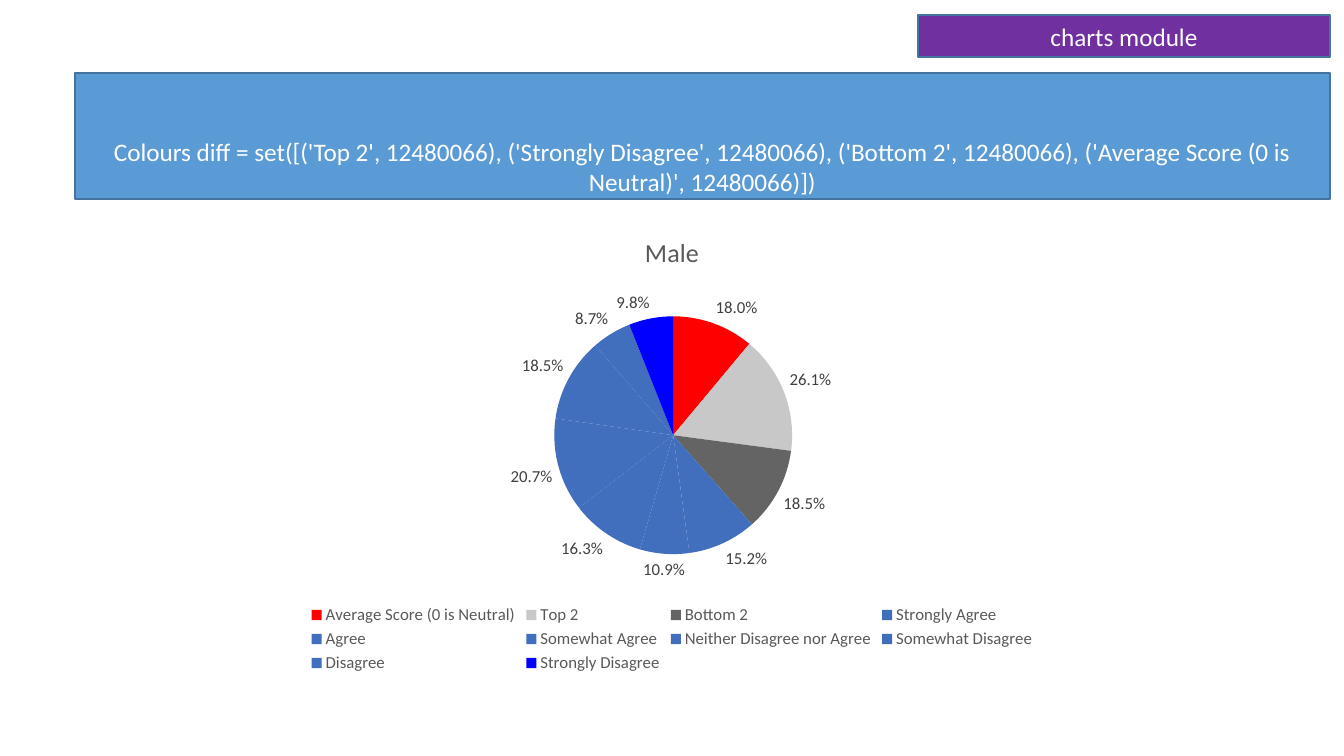
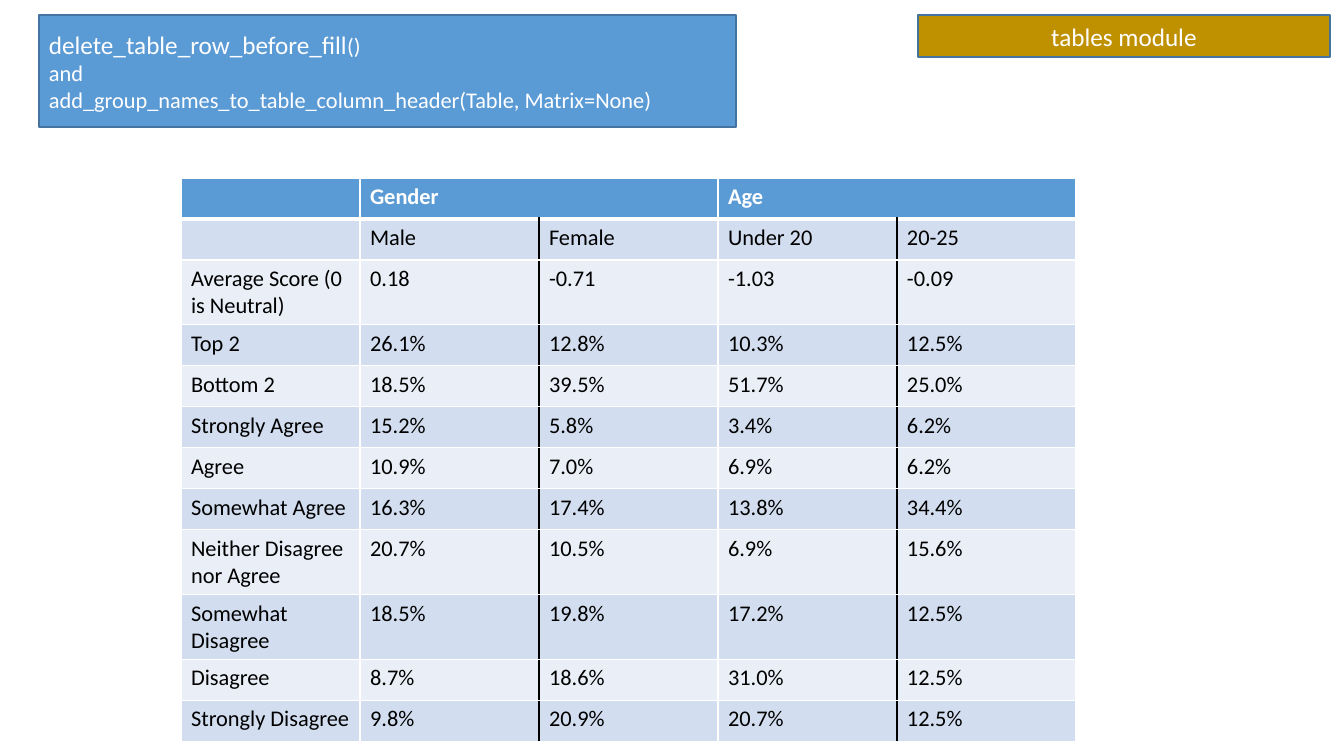
from dataclasses import dataclass

from lxml import etree
from pptx import Presentation
from pptx.chart.data import CategoryChartData
from pptx.dml.color import RGBColor
from pptx.enum.chart import XL_CHART_TYPE, XL_LABEL_POSITION, XL_LEGEND_POSITION
from pptx.enum.shapes import MSO_SHAPE
from pptx.enum.text import MSO_ANCHOR, PP_ALIGN
from pptx.oxml.ns import qn
from pptx.util import Pt

RECTANGLE = MSO_SHAPE.RECTANGLE
PIE = XL_CHART_TYPE.PIE
OUTSIDE_END = XL_LABEL_POSITION.OUTSIDE_END
LEGEND_BOTTOM = XL_LEGEND_POSITION.BOTTOM
MIDDLE = MSO_ANCHOR.MIDDLE
LEFT, CENTER = PP_ALIGN.LEFT, PP_ALIGN.CENTER

# Content
GROUPS = ["Gender", "Age"]
COLUMNS = ["Male", "Female", "Under 20", "20-25"]
AVERAGE = "Average Score (0 is Neutral)"
RESULTS = {
    AVERAGE: (0.18, -0.71, -1.03, -0.09),
    "Top 2": (0.261, 0.128, 0.103, 0.125),
    "Bottom 2": (0.185, 0.395, 0.517, 0.25),
    "Strongly Agree": (0.152, 0.058, 0.034, 0.062),
    "Agree": (0.109, 0.07, 0.069, 0.062),
    "Somewhat Agree": (0.163, 0.174, 0.138, 0.344),
    "Neither Disagree nor Agree": (0.207, 0.105, 0.069, 0.156),
    "Somewhat Disagree": (0.185, 0.198, 0.172, 0.125),
    "Disagree": (0.087, 0.186, 0.31, 0.125),
    "Strongly Disagree": (0.098, 0.209, 0.207, 0.125),
}
CHART_NOTE = (
    "Colours diff = set([('Top 2', 12480066), ('Strongly Disagree', 12480066), "
    "('Bottom 2', 12480066), ('Average Score (0 is Neutral)', 12480066)])"
)


# Theme
@dataclass(frozen=True)
class Theme:
    font: str = "Calibri"
    blue: str = "5B9BD5"
    outline: str = "43739E"
    purple: str = "7030A0"
    gold: str = "BF9000"
    white: str = "FFFFFF"
    black: str = "000000"
    bands: tuple = ("D2DEEF", "EAEFF7")
    slice: str = "426EBE"
    chart_text: str = "595959"
    label_text: str = "404040"
    heading: float = 18
    body: float = 16
    chart_title: float = 18.6
    chart_small: float = 12


THEME = Theme()
SLICE_COLOURS = {AVERAGE: "FF0000", "Top 2": "C8C8C8", "Bottom 2": "646464",
                 "Strongly Disagree": "0000FF"}

CHART_LINES = [[(CHART_NOTE, THEME.heading)]]
TABLE_LINES = [
    [("delete_table_row_before_fill", THEME.heading), ("()", THEME.body)],
    [("and", THEME.body)],
    [("add_group_names_to_table_column_header(Table, Matrix=None)", THEME.body)],
]

# Geometry, in pixels
SCALE = 914400 / 100.8
SLIDE_SIZE = (1344, 756)
BADGE = (918, 15, 412, 42)
CHART_BANNER = (75, 73, 1255, 126)
BANNER_TOP_INSET = 61
TABLE_BANNER = (39, 15, 697, 112)
CHART = (224, 215, 896, 462)
TABLE_LEFT, TABLE_TOP = 181, 178
COLUMN_WIDTH, ROW_HEIGHT = 179, 41


def emu(pixels):
    return round(pixels * SCALE)


def place(*pixels):
    return [emu(value) for value in pixels]


def style_font(font, size, colour, bold=False):
    font.name = THEME.font
    font.size = Pt(size)
    font.bold = bold
    font.color.rgb = RGBColor.from_string(colour)


def fill_solid(fill, colour):
    fill.solid()
    fill.fore_color.rgb = RGBColor.from_string(colour)


def add_span(para, text, size, colour, bold=False):
    span = para.add_run()
    span.text = text
    style_font(span.font, size, colour, bold)


# Shared parts
def add_panel(page, bounds, colour, lines, align=CENTER):
    box = page.shapes.add_shape(RECTANGLE, *place(*bounds))
    box.shadow.inherit = False
    fill_solid(box.fill, colour)
    box.line.color.rgb = RGBColor.from_string(THEME.outline)
    box.line.width = Pt(1)
    frame = box.text_frame
    frame.word_wrap = True
    frame.vertical_anchor = MIDDLE
    for index, spans in enumerate(lines):
        para = frame.add_paragraph() if index else frame.paragraphs[0]
        para.alignment = align
        for text, size in spans:
            add_span(para, text, size, THEME.white)
    return frame


def add_page(deck, module, colour):
    page = deck.slides.add_slide(deck.slide_layouts[6])
    add_panel(page, BADGE, colour, [[(module, THEME.heading)]])
    return page


# Pie chart
def add_pie(page):
    name = COLUMNS[0]
    data = CategoryChartData(number_format="0.0%")
    data.categories = list(RESULTS)
    data.add_series(name, [values[0] for values in RESULTS.values()])
    chart = page.shapes.add_chart(PIE, *place(*CHART), data).chart
    style_font(chart.font, THEME.chart_small, THEME.chart_text)

    chart.has_title = True
    add_span(chart.chart_title.text_frame.paragraphs[0], name,
             THEME.chart_title, THEME.chart_text)
    chart.has_legend = True
    chart.legend.position = LEGEND_BOTTOM
    chart.legend.include_in_layout = False
    style_font(chart.legend.font, THEME.chart_small, THEME.chart_text)

    plot = chart.plots[0]
    plot.vary_by_categories = True
    for index, category in enumerate(RESULTS):
        colour = SLICE_COLOURS.get(category, THEME.slice)
        fill_solid(plot.series[0].points[index].format.fill, colour)
    plot.has_data_labels = True
    labels = plot.data_labels
    labels.show_value = True
    labels.show_percentage = False
    labels.number_format = "0.0%"
    labels.number_format_is_linked = False
    labels.position = OUTSIDE_END
    style_font(labels.font, THEME.chart_small, THEME.label_text)


# Table
def set_borders(cell, borders):
    properties = cell._tc.get_or_add_tcPr()
    for index, (side, (colour, width)) in enumerate(borders.items()):
        line = etree.Element(qn(f"a:ln{side}"), w=str(Pt(width)))
        solid = etree.SubElement(line, qn("a:solidFill"))
        etree.SubElement(solid, qn("a:srgbClr"), val=colour)
        properties.insert(index, line)


def style_cell(cell, row, column, text):
    header = row == 0
    fill_solid(cell.fill, THEME.blue if header else THEME.bands[(row - 1) % 2])
    borders = {side: (THEME.white, 1) for side in "LRTB"}
    if header:
        borders["B"] = (THEME.white, 3)
    elif column:
        # A black rule parts the two columns of each group
        borders["R" if column % 2 else "L"] = (THEME.black, 1)
    set_borders(cell, borders)
    if text:
        colour = THEME.white if header else THEME.black
        add_span(cell.text_frame.paragraphs[0], text, THEME.body, colour, header)


def add_results(page):
    header = [""]
    for group in GROUPS:
        header += [group, ""]
    rows = [header, ["", *COLUMNS]]
    for category, values in RESULTS.items():
        pattern = "{:.2f}" if category == AVERAGE else "{:.1%}"
        rows.append([category, *map(pattern.format, values)])

    count = len(header)
    bounds = place(TABLE_LEFT, TABLE_TOP, COLUMN_WIDTH * count, ROW_HEIGHT * len(rows))
    table = page.shapes.add_table(len(rows), count, *bounds).table
    table.first_row = table.horz_banding = False
    for column in table.columns:
        column.width = emu(COLUMN_WIDTH)
    for row, texts in enumerate(rows):
        table.rows[row].height = emu(ROW_HEIGHT)
        for column, text in enumerate(texts):
            style_cell(table.cell(row, column), row, column, text)
    for column in range(1, count, 2):
        table.cell(0, column).merge(table.cell(0, column + 1))


# Slides
deck = Presentation()
deck.slide_width, deck.slide_height = place(*SLIDE_SIZE)

page = add_page(deck, "charts module", THEME.purple)
add_pie(page)
frame = add_panel(page, CHART_BANNER, THEME.blue, CHART_LINES)
frame.margin_top, frame.margin_bottom = place(BANNER_TOP_INSET, 0)

page = add_page(deck, "tables module", THEME.gold)
add_results(page)
add_panel(page, TABLE_BANNER, THEME.blue, TABLE_LINES, LEFT)

deck.save("out.pptx")
